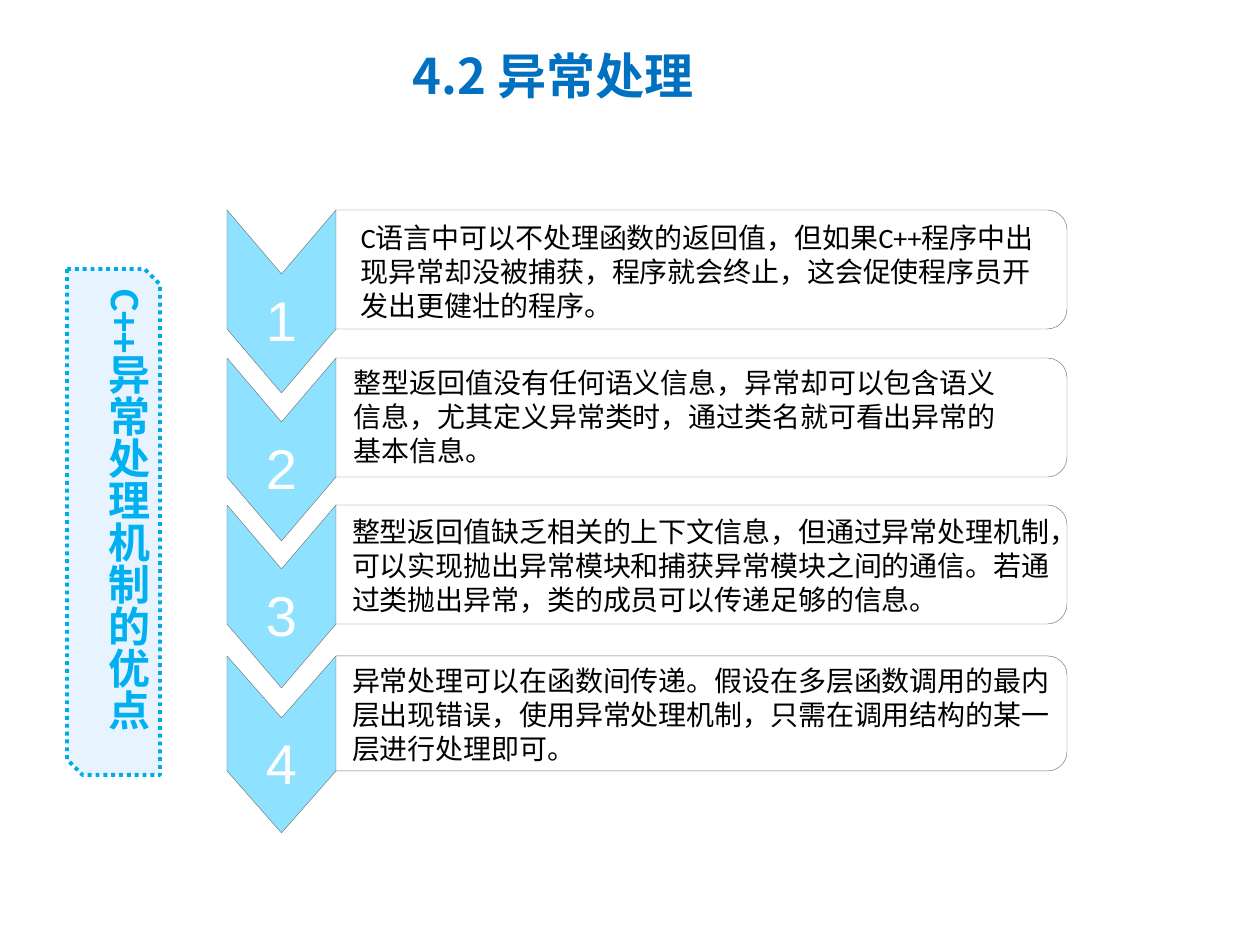
from lxml import etree
from pptx import Presentation
from pptx.dml.color import RGBColor
from pptx.enum.dml import MSO_LINE
from pptx.enum.shapes import MSO_SHAPE
from pptx.enum.text import MSO_ANCHOR, PP_ALIGN
from pptx.oxml.ns import qn
from pptx.util import Pt

PX = 914400 // 126
SNIPPED, ROUNDED = MSO_SHAPE.SNIP_2_DIAG_RECTANGLE, MSO_SHAPE.ROUND_2_SAME_RECTANGLE
DOTTED = MSO_LINE.ROUND_DOT
TOP, MIDDLE = MSO_ANCHOR.TOP, MSO_ANCHOR.MIDDLE
LEFT, CENTER = PP_ALIGN.LEFT, PP_ALIGN.CENTER

COLORS = {
    "title": "0070C0", "label": "00B0F0", "label_fill": "E7F4FF",
    "label_line": "00ACE6", "chevron": "8FE2FF", "outline": "737373",
    "white": "FFFFFF", "body": "000000",
}
CJK_FONT = "Noto Sans CJK SC"
CHEVRON_WIDTH = 109

# Row box (left, top, width, panel height), text box (left, top, width), text
ADVANTAGES = [
    ((227, 210, 840, 119), (121, 5, 704),
     "C语言中可以不处理函数的返回值，但如果C++程序中出现异常却没被捕获，"
     "程序就会终止，这会促使程序员开发出更健壮的程序。"),
    ((227, 358, 840, 119), (114, 2, 690),
     "整型返回值没有任何语义信息，异常却可以包含语义信息，"
     "尤其定义异常类时，通过类名就可看出异常的基本信息。"),
    ((227, 505, 840, 119), (112, 4, 738),
     "整型返回值缺乏相关的上下文信息，但通过异常处理机制，可以实现抛出异常模块"
     "和捕获异常模块之间的通信。若通过类抛出异常，类的成员可以传递足够的信息。"),
    ((227, 656, 840, 115), (112, 2, 728),
     "异常处理可以在函数间传递。假设在多层函数调用的最内层出现错误，"
     "使用异常处理机制，只需在调用结构的某一层进行处理即可。"),
]


def px(*lengths):
    return [round(length * PX) for length in lengths]


def rgb(name):
    return RGBColor.from_string(COLORS[name])


def paint(shape, fill, line, weight):
    shape.shadow.inherit = False
    shape.fill.solid()
    shape.fill.fore_color.rgb = rgb(fill)
    shape.line.color.rgb = rgb(line)
    shape.line.width = Pt(weight)


def write(shape, text, size, color, font="Calibri", bold=False, align=LEFT,
          anchor=TOP, insets=(13, 6, 13, 6)):
    frame = shape.text_frame
    frame.word_wrap = True
    frame.vertical_anchor = anchor
    (frame.margin_left, frame.margin_top,
     frame.margin_right, frame.margin_bottom) = px(*insets)
    paragraph = frame.paragraphs[0]
    paragraph.alignment = align
    run = paragraph.add_run()
    run.text = text
    run.font.size = Pt(size)
    run.font.bold = bold
    run.font.name = font
    run.font.color.rgb = rgb(color)
    etree.SubElement(run._r.get_or_add_rPr(), qn("a:ea"), typeface=CJK_FONT)


def add_title(slide, box):
    title = slide.shapes.add_textbox(*px(*box))
    write(title, "4.2 异常处理", 28, "title", font=CJK_FONT, bold=True,
          align=CENTER, anchor=MIDDLE)


def add_side_label(slide, box):
    left, top, width, height = box
    # Dotted frame
    frame = slide.shapes.add_shape(SNIPPED, *px(*box))
    paint(frame, "label_fill", "label_line", 2.25)
    frame.line.dash_style = DOTTED
    # Vertical heading
    heading = slide.shapes.add_textbox(*px(left + 16, top + 7, 76, height - 7))
    write(heading, "C++异常处理机制的优点", 24, "label", bold=True,
          insets=(6, 13, 6, 0))
    heading.text_frame._txBody.bodyPr.set("vert", "eaVert")


def add_chevron(slide, box, number):
    left, top, width, height = box
    depth = round(height * 0.35)
    middle, right = left + width / 2, left + width
    shoulder, tip = top + height - depth, top + height
    outline = [(right, shoulder), (middle, tip), (left, shoulder),
               (left, top), (middle, top + depth)]
    builder = slide.shapes.build_freeform(*px(right, top))
    builder.add_line_segments([px(*point) for point in outline], close=True)
    chevron = builder.convert_to_shape()
    paint(chevron, "chevron", "outline", 0.25)
    write(chevron, str(number), 32, "white", font="Arial", align=CENTER,
          anchor=MIDDLE, insets=(1, 36, 1, 0))


def add_panel(slide, box):
    left, top, width, height = box
    # Turned a quarter so that the rounded top faces right
    shift = (width - height) / 2
    panel = slide.shapes.add_shape(
        ROUNDED, *px(left + shift, top - shift, height, width))
    panel.rotation = 90
    paint(panel, "white", "outline", 0.25)
    color = panel.fill._xPr.find(qn("a:solidFill"))[0]
    etree.SubElement(color, qn("a:alpha"), val="90000")


def add_advantage(slide, box, number, text_box, text):
    left, top, width, height = box
    add_chevron(slide, (left, top, CHEVRON_WIDTH, round(height * 1.535)), number)
    add_panel(slide, (left + CHEVRON_WIDTH, top, width - CHEVRON_WIDTH, height))
    # Explanation over the panel
    dx, dy, text_width = text_box
    body = slide.shapes.add_textbox(*px(left + dx, top + dy, text_width, 113))
    write(body, text, 16, "body")


def main():
    prs = Presentation()
    prs.slide_width, prs.slide_height = px(1260, 945)
    slide = prs.slides.add_slide(prs.slide_layouts[6])
    add_title(slide, (228, 21, 650, 107))
    add_side_label(slide, (67, 269, 93, 506))
    for number, (box, text_box, text) in enumerate(ADVANTAGES, 1):
        add_advantage(slide, box, number, text_box, text)
    prs.save("out.pptx")


if __name__ == "__main__":
    main()
